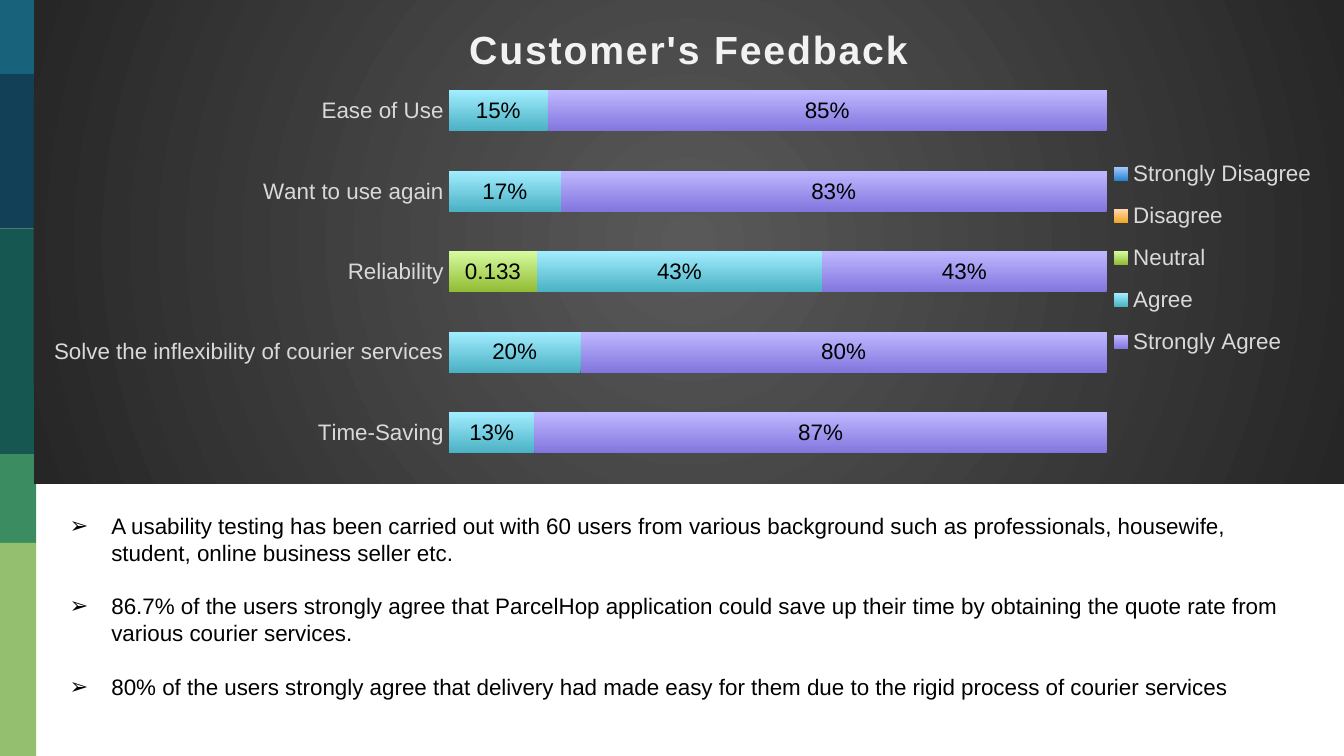
import lxml.etree
import pptx
import pptx.chart.data
import pptx.dml.color
import pptx.enum.chart
import pptx.enum.shapes
import pptx.oxml
import pptx.oxml.ns
import pptx.util

Inches = pptx.util.Inches
Pt = pptx.util.Pt
qn = pptx.oxml.ns.qn

THEME = {
    "font": "Arial", "body": 12, "title": 21, "line": 14.4,
    "ink": "000000", "light": "D9D9D9", "heading": "F2F2F2",
    "backdrop": ("595959", "262626"),
}
SLIDE = (10, 10 * 9 / 16)
STRIPE_WIDTH = 0.27
STRIPES = [(0, "18637B"), (0.55, "124057"), (1.7, "165751"), (3.38, "3B8D61"), (4.04, "94BF6E")]
CHART_BOX = (0.25, 0, 9.75, 3.6)
NOTES_BOX = (0.42, 3.76, 9.41, 1.51)
LAYOUT_PERCENTS = {
    "title": (32.7, 3.6),
    "plotArea": (31.7, 14.6, 50.2, 83.2),
    "legend": (81.5, 29.8, 17, 47.2),
}
TITLE = "Customer's Feedback"
QUESTIONS = ["Time-Saving", "Solve the inflexibility of courier services", "Reliability",
             "Want to use again", "Ease of Use"]
BLANK = (None,) * 5
ANSWERS = [
    ("Strongly Disagree", BLANK, "General", ("2783CD", "A0C8FF")),
    ("Disagree", BLANK, "General", ("F0A621", "FFD6AD")),
    ("Neutral", (None, None, 0.133, None, None), "General", ("91BB32", "D6FBA0")),
    ("Agree", (0.13, 0.2, 0.43, 0.17, 0.15), "0%", ("49B1C3", "A2EDFF")),
    ("Strongly Agree", (0.87, 0.8, 0.43, 0.83, 0.85), "0%", ("8275DE", "BFB8FF")),
]
FINDINGS = [
    "A usability testing has been carried out with 60 users from various background such as "
    "professionals, housewife, student, online business seller etc.",
    "86.7% of the users strongly agree that ParcelHop application could save up their time by "
    "obtaining the quote rate from various courier services.",
    "80% of the users strongly agree that delivery had made easy for them due to the rigid "
    "process of courier services",
]


def rgb(code):
    return pptx.dml.color.RGBColor.from_string(code)


def style(font, size, color, bold=False):
    font.name = THEME["font"]
    font.size = Pt(size)
    font.bold = bold
    font.color.rgb = rgb(color)


def add_stripes(page):
    bottoms = [top for top, _ in STRIPES[1:]] + [SLIDE[1]]
    for (top, color), bottom in zip(STRIPES, bottoms):
        stripe = page.shapes.add_shape(
            pptx.enum.shapes.MSO_SHAPE.RECTANGLE,
            *map(Inches, (0, top, STRIPE_WIDTH, bottom - top)))
        stripe.shadow.inherit = False
        stripe.fill.solid()
        stripe.fill.fore_color.rgb = rgb(color)
        stripe.line.fill.background()


def place_part(chart_root, name, percents):
    part = chart_root.find(".//" + qn("c:" + name))
    for old in part.findall(qn("c:layout")):
        part.remove(old)
    layout = lxml.etree.Element(qn("c:layout"))
    manual = lxml.etree.SubElement(layout, qn("c:manualLayout"))
    settings = [("xMode", "edge"), ("yMode", "edge")]
    settings += [(tag, percent / 100) for tag, percent in zip("xywh", percents)]
    if name == "plotArea":
        settings.insert(0, ("layoutTarget", "inner"))
    for tag, value in settings:
        lxml.etree.SubElement(manual, qn("c:" + tag)).set("val", str(value))
    part.insert(0 if name == "plotArea" else 1, layout)


def paint_backdrop(chart_root):
    inner, outer = THEME["backdrop"]
    backdrop = pptx.oxml.parse_xml(
        f'<c:spPr {pptx.oxml.ns.nsdecls("c", "a")}><a:gradFill><a:gsLst>'
        f'<a:gs pos="0"><a:srgbClr val="{inner}"/></a:gs>'
        f'<a:gs pos="100000"><a:srgbClr val="{outer}"/></a:gs></a:gsLst>'
        '<a:path path="circle"><a:fillToRect l="50000" t="50000" r="50000" b="50000"/></a:path>'
        '</a:gradFill><a:ln><a:noFill/></a:ln></c:spPr>')
    chart_root.find(qn("c:chart")).addnext(backdrop)


def add_feedback_chart(page):
    kinds = pptx.enum.chart
    data = pptx.chart.data.CategoryChartData()
    data.categories = QUESTIONS
    for name, values, number_format, _ in ANSWERS:
        data.add_series(name, values, number_format)
    chart = page.shapes.add_chart(
        kinds.XL_CHART_TYPE.BAR_STACKED_100, *map(Inches, CHART_BOX), data).chart
    style(chart.font, THEME["body"], THEME["ink"])

    chart.has_title = True
    span = chart.chart_title.text_frame.paragraphs[0].add_run()
    span.text = TITLE
    style(span.font, THEME["title"], THEME["heading"], bold=True)
    span.font._element.set("spc", "100")
    chart.chart_title.include_in_layout = False

    chart.has_legend = True
    chart.legend.position = kinds.XL_LEGEND_POSITION.RIGHT
    chart.legend.include_in_layout = False
    style(chart.legend.font, THEME["body"], THEME["light"])

    questions = chart.category_axis
    questions.major_tick_mark = kinds.XL_TICK_MARK.NONE
    questions.minor_tick_mark = kinds.XL_TICK_MARK.NONE
    questions.format.line.fill.background()
    style(questions.tick_labels.font, THEME["body"], THEME["light"])
    chart.value_axis.has_major_gridlines = False
    chart.value_axis.visible = False

    plot = chart.plots[0]
    plot.gap_width = 95
    plot.overlap = 100
    plot.vary_by_categories = False
    for series, (_, _, number_format, colors) in zip(plot.series, ANSWERS):
        fill = series.format.fill
        fill.gradient()
        fill.gradient_angle = 90
        for stop, color in zip(fill.gradient_stops, colors):
            stop.color.rgb = rgb(color)
        labels = series.data_labels
        labels.show_value = True
        labels.number_format = number_format
        labels.number_format_is_linked = False
        labels.position = kinds.XL_LABEL_POSITION.CENTER
        style(labels.font, THEME["body"], THEME["ink"])

    chart_root = chart._chartSpace
    paint_backdrop(chart_root)
    for name, percents in LAYOUT_PERCENTS.items():
        place_part(chart_root, name, percents)


def add_findings(page):
    box = page.shapes.add_textbox(*map(Inches, NOTES_BOX))
    frame = box.text_frame
    frame.word_wrap = True
    for index, finding in enumerate(FINDINGS):
        para = frame.add_paragraph() if index else frame.paragraphs[0]
        para.line_spacing = Pt(THEME["line"])
        if index:
            para.space_before = Pt(THEME["line"])
        properties = para._p.get_or_add_pPr()
        properties.set("marL", str(Inches(0.31)))
        properties.set("indent", str(-Inches(0.31)))
        lxml.etree.SubElement(properties, qn("a:buFont")).set("typeface", THEME["font"])
        lxml.etree.SubElement(properties, qn("a:buChar")).set("char", "➢")
        span = para.add_run()
        span.text = finding
        style(span.font, THEME["body"], THEME["ink"])


def main():
    deck = pptx.Presentation()
    deck.slide_width, deck.slide_height = map(Inches, SLIDE)
    page = deck.slides.add_slide(deck.slide_layouts[6])
    add_stripes(page)
    add_feedback_chart(page)
    add_findings(page)
    deck.save("out.pptx")


if __name__ == "__main__":
    main()
